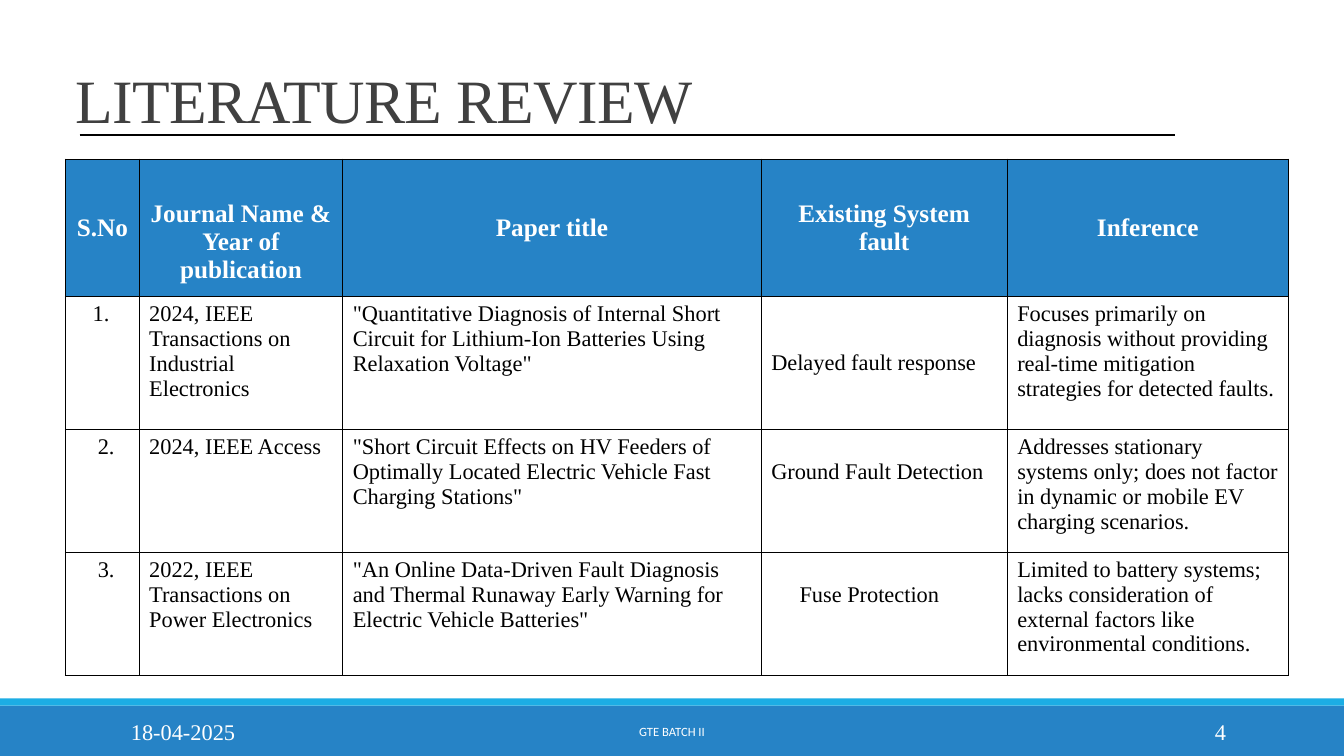
from lxml import etree
from pptx import Presentation
from pptx.dml.color import RGBColor
from pptx.enum.shapes import MSO_CONNECTOR, MSO_SHAPE
from pptx.enum.text import MSO_ANCHOR, MSO_AUTO_SIZE, PP_ALIGN
from pptx.oxml.ns import qn
from pptx.util import Inches, Pt

LEFT, CENTER, RIGHT = PP_ALIGN.LEFT, PP_ALIGN.CENTER, PP_ALIGN.RIGHT
TOP, MIDDLE, BOTTOM = MSO_ANCHOR.TOP, MSO_ANCHOR.MIDDLE, MSO_ANCHOR.BOTTOM
NO_FIT = MSO_AUTO_SIZE.NONE
RECTANGLE, STRAIGHT = MSO_SHAPE.RECTANGLE, MSO_CONNECTOR.STRAIGHT

BLUE = RGBColor(0x26, 0x83, 0xC6)
CYAN = RGBColor(0x1C, 0xAD, 0xE4)
GREY = RGBColor(0x40, 0x40, 0x40)
BLACK = RGBColor(0, 0, 0)
WHITE = RGBColor(0xFF, 0xFF, 0xFF)
SERIF, SANS = "Times New Roman", "Calibri"

WIDTH, HEIGHT = 13.33, 7.5
TITLE = "LITERATURE REVIEW"
HEADERS = ["S.No", "Journal Name & Year of publication", "Paper title",
           "Existing System\nfault", "Inference"]
PAPERS = [
    ["1.", "2024, IEEE Transactions on Industrial Electronics",
     '"Quantitative Diagnosis of Internal Short Circuit for Lithium-Ion '
     'Batteries Using Relaxation Voltage"',
     "Delayed fault response",
     "Focuses primarily on diagnosis without providing real-time mitigation "
     "strategies for detected faults."],
    ["2.", "2024, IEEE Access",
     '"Short Circuit Effects on HV Feeders of Optimally Located Electric '
     'Vehicle Fast Charging Stations"',
     "Ground Fault Detection",
     "Addresses stationary systems only; does not factor in dynamic or mobile "
     "EV charging scenarios."],
    ["3.", "2022, IEEE Transactions on Power Electronics",
     '"An Online Data-Driven Fault Diagnosis and Thermal Runaway Early Warning '
     'for Electric Vehicle Batteries"',
     "Fuse Protection",
     "Limited to battery systems; lacks consideration of external factors like "
     "environmental conditions."],
]
COLUMN_WIDTHS = [0.73, 2.02, 4.15, 2.44, 2.79]
ROW_HEIGHTS = [1.36, 1.32, 1.22, 1.22]
# Extra (left, top) margin of single cells, by (row, column)
CELL_OFFSETS = {(0, 1): (0, 0.28), (1, 0): (0.17, 0), (2, 0): (0.22, 0),
                (3, 0): (0.22, 0), (1, 3): (0, 0.49), (2, 3): (0, 0.25),
                (3, 3): (0.28, 0.25)}
BANDS = [(7, 0.5, BLUE), (6.93, 0.07, CYAN)]
FOOTERS = [  # text, left, width, alignment, font, size
    ("18-04-2025", 1.2, 2.7, LEFT, SERIF, 16),
    ("GTE BATCH II", 4.03, 5.27, CENTER, SANS, 9),
    ("4", 10.83, 1.43, RIGHT, SERIF, 16),
]


def write(frame, text, align, **font_format):
    frame.text = text
    frame.word_wrap = True
    for paragraph in frame.paragraphs:
        paragraph.alignment = align
        for run in paragraph.runs:
            color = font_format["color"]
            run.font.color.rgb = color
            for name, value in font_format.items():
                if name != "color":
                    setattr(run.font, name, value)


def add_borders(cell):
    properties = cell._tc.get_or_add_tcPr()
    for position, side in enumerate(("a:lnL", "a:lnR", "a:lnT", "a:lnB")):
        line = etree.Element(qn(side), w=str(Pt(1)))
        fill = etree.SubElement(line, qn("a:solidFill"))
        etree.SubElement(fill, qn("a:srgbClr"), val=str(BLACK))
        properties.insert(position, line)


def add_title(slide):
    title = slide.shapes.title
    place = {"left": 0.65, "top": -0.05, "width": 11, "height": 1.45}
    for name, value in place.items():
        setattr(title, name, Inches(value))
    frame = title.text_frame
    write(frame, TITLE, LEFT, name=SERIF, size=Pt(44), color=GREY)
    frame.auto_size = NO_FIT
    frame.vertical_anchor = BOTTOM
    paragraph = frame.paragraphs[0]
    paragraph.line_spacing = 0.85
    paragraph.runs[0].font._element.set("spc", "-50")

    rule = slide.shapes.add_connector(
        STRAIGHT, Inches(0.79), Inches(1.34), Inches(11.65), Inches(1.34))
    rule.line.color.rgb = BLACK
    rule.line.width = Pt(1)
    etree.SubElement(rule._element.spPr, qn("a:effectLst"))


def add_review_table(slide):
    rows = [HEADERS] + PAPERS
    table = slide.shapes.add_table(
        len(rows), len(HEADERS), Inches(0.65), Inches(1.58),
        Inches(sum(COLUMN_WIDTHS)), Inches(sum(ROW_HEIGHTS))).table
    for column, width in zip(table.columns, COLUMN_WIDTHS):
        column.width = Inches(width)
    for row, height in zip(table.rows, ROW_HEIGHTS):
        row.height = Inches(height)
    for r, texts in enumerate(rows):
        header = r == 0
        for c, text in enumerate(texts):
            cell = table.cell(r, c)
            write(cell.text_frame, text, CENTER if header else LEFT,
                  name=SERIF, size=Pt(18 if header else 16), bold=header,
                  color=WHITE if header else BLACK)
            cell.vertical_anchor = MIDDLE if header else TOP
            indent, drop = CELL_OFFSETS.get((r, c), (0, 0))
            cell.margin_left = Inches(0.1 + indent)
            cell.margin_top = Inches(0.05 + drop)
            cell.fill.solid()
            cell.fill.fore_color.rgb = BLUE if header else WHITE
            add_borders(cell)


def add_footer(slide):
    for top, height, color in BANDS:
        band = slide.shapes.add_shape(
            RECTANGLE, 0, Inches(top), Inches(WIDTH), Inches(height))
        band.shadow.inherit = False
        band.fill.solid()
        band.fill.fore_color.rgb = color
        band.line.fill.background()
    for text, left, width, align, font, size in FOOTERS:
        frame = slide.shapes.add_textbox(
            Inches(left), Inches(7.06), Inches(width), Inches(0.4)).text_frame
        write(frame, text, align, name=font, size=Pt(size), color=WHITE)
        frame.vertical_anchor = MIDDLE


def main():
    deck = Presentation()
    deck.slide_width, deck.slide_height = Inches(WIDTH), Inches(HEIGHT)
    slide = deck.slides.add_slide(deck.slide_layouts.get_by_name("Title Only"))
    add_footer(slide)
    add_title(slide)
    add_review_table(slide)
    deck.save("out.pptx")


if __name__ == "__main__":
    main()
